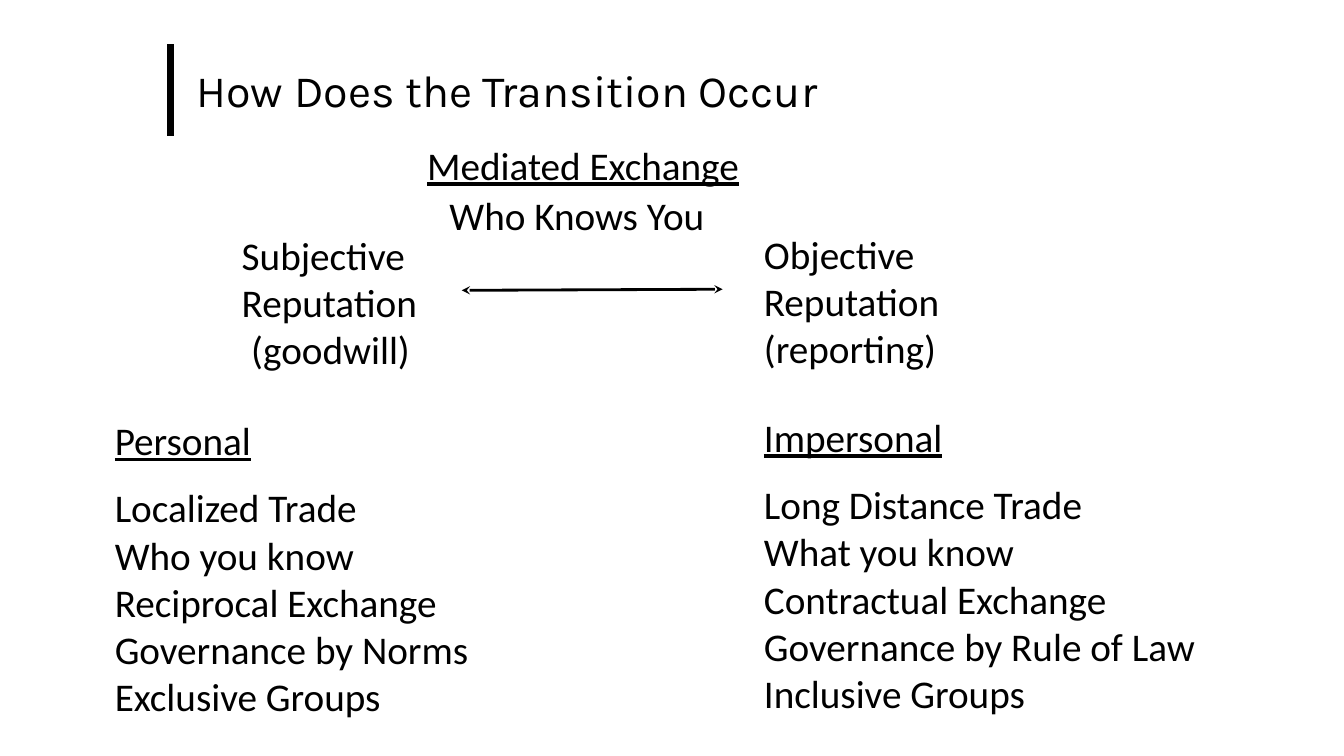
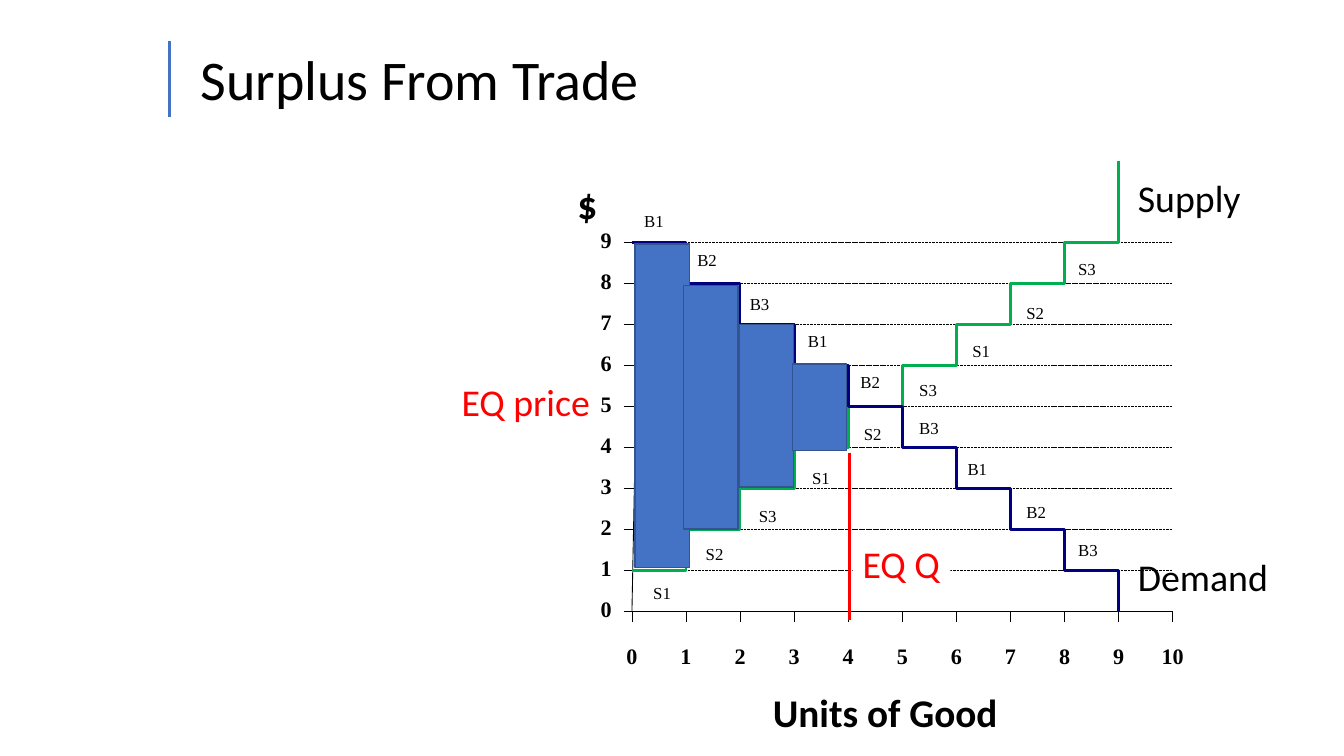
import dataclasses

import lxml.etree
import pptx
import pptx.dml.color
import pptx.enum.dml
import pptx.enum.shapes
import pptx.enum.text
import pptx.oxml.ns
import pptx.util

Pt = pptx.util.Pt
qn = pptx.oxml.ns.qn
rgb = pptx.dml.color.RGBColor.from_string
LEFT = pptx.enum.text.PP_ALIGN.LEFT
CENTER = pptx.enum.text.PP_ALIGN.CENTER


@dataclasses.dataclass(frozen=True)
class Theme:
    black: str = "000000"
    white: str = "FFFFFF"
    blue: str = "4472C4"
    blue_edge: str = "325491"
    supply: str = "00B050"
    demand: str = "000080"
    equilibrium: str = "FF0000"
    body_font: str = "Calibri"
    title_font: str = "Karla"
    chart_font: str = "Times New Roman"
    body_size: float = 28
    label_size: float = 27
    axis_size: float = 15.8
    step_size: float = 12
    hairline: float = 0.63
    curve: float = 2


theme = Theme()


def add_text(page, bounds, lines, align=LEFT, margin=None, fill=None, box=None,
             color=theme.black, **font_values):
    """Put lines into a text box, or into a given placeholder."""
    if box is None:
        box = page.shapes.add_textbox(*map(Pt, bounds))
    box.left, box.top, box.width, box.height = map(Pt, bounds)
    if fill:
        box.fill.solid()
        box.fill.fore_color.rgb = rgb(fill)
    frame = box.text_frame
    frame.word_wrap = True
    frame.auto_size = pptx.enum.text.MSO_AUTO_SIZE.NONE
    frame.vertical_anchor = pptx.enum.text.MSO_ANCHOR.TOP
    if margin is not None:
        for side in ("left", "top", "right", "bottom"):
            setattr(frame, f"margin_{side}", Pt(margin))
    values = {"name": theme.body_font, "size": theme.body_size, **font_values}
    values["size"] = Pt(values["size"])
    for index, line in enumerate(lines):
        para = frame.add_paragraph() if index else frame.paragraphs[0]
        para.alignment = align
        span = para.add_run()
        span.text = line
        for name, value in values.items():
            setattr(span.font, name, value)
        span.font.color.rgb = rgb(color)
    return frame.paragraphs


def add_line(page, start, end, width, color=theme.black, dash=None, heads=False):
    """Draw a straight line, with optional dashes or arrowheads at both ends."""
    connector = page.shapes.add_connector(
        pptx.enum.shapes.MSO_CONNECTOR.STRAIGHT, *map(Pt, start + end))
    connector.line.width = Pt(width)
    connector.line.color.rgb = rgb(color)
    if dash:
        connector.line.dash_style = dash
    properties = connector.element.spPr
    if heads:
        outline = properties.find(qn("a:ln"))
        for tag in ("a:headEnd", "a:tailEnd"):
            lxml.etree.SubElement(outline, qn(tag), type="stealth")
    lxml.etree.SubElement(properties, qn("a:effectLst"))


deck = pptx.Presentation()
deck.slide_width, deck.slide_height = Pt(960), Pt(540)

# Titles, each with a vertical rule on its left
titles = [
    ("How Does the Transition Occur", (133.2, 41, 508, 46), theme.title_font, 32,
     (121.7, 31.7, 97.2), 4.5, theme.black),
    ("Surplus From Trade", (136, 28, 345, 56), theme.body_font, 40,
     (121, 29.5, 83.5), 2.25, theme.blue),
]
pages = []
for text, bounds, font, size, (rule_x, rule_top, rule_end), weight, color in titles:
    page = deck.slides.add_slide(deck.slide_layouts[5])
    add_text(page, bounds, [text], box=page.shapes.title, name=font, size=size)
    add_line(page, (rule_x, rule_top), (rule_x, rule_end), weight, color)
    pages.append(page)
transition, surplus = pages

# Mediated exchange: two kinds of reputation joined by an arrow
add_line(transition, (329.8, 207.4), (516.2, 206.6), 2, heads=True)
reputation = add_text(transition, (165.6, 161.5, 141, 109),
                      ["Subjective", "Reputation", "(goodwill)"])
reputation[2].alignment = CENTER
add_text(transition, (538.6, 161, 150, 109), ["Objective", "Reputation", "(reporting)"])
add_text(transition, (314, 133, 210, 41), ["Who Knows You"])
add_text(transition, (298, 97.2, 250, 41), ["Mediated Exchange"], underline=True)

# Personal and impersonal exchange
columns = [
    (74.9, 293.8, ["Personal", "Localized Trade", "Who you know", "Reciprocal Exchange",
                   "Governance by Norms", "Exclusive Groups"]),
    (538.6, 291.6, ["Impersonal", "Long Distance Trade", "What you know",
                    "Contractual Exchange", "Governance by Rule of Law",
                    "Inclusive Groups"]),
]
for left, top, lines in columns:
    heading, first_item, *_ = add_text(transition, (left, top, 378, 225), lines)
    heading.runs[0].font.underline = True
    first_item.space_before = Pt(14.6)

# Chart grid: ten units across, nine dollars up
origin_x, origin_y = 451.4, 437
unit_width, dollar_height = 38.63, 29.28
unit_x = [origin_x + unit_width * unit for unit in range(11)]
dollar_y = [origin_y - dollar_height * dollar for dollar in range(12)]

add_text(surplus, (322.6, 267.1, 106.6, 40), ["EQ price"], fill=theme.white,
         color=theme.equilibrium, size=theme.label_size)

# Buyer and seller names on the steps
step_names = {
    "B": [(453, 147), (491, 175), (528.5, 206), (570, 233), (607.5, 262),
          (649.5, 295), (684, 324), (726, 355), (763, 382)],
    "S": [(459.5, 413), (497, 385), (535, 358), (573, 330.5), (610, 299),
          (649.5, 268), (687.5, 240), (726, 212.5), (763, 181.5)],
}
for letter, places in step_names.items():
    for index, place in enumerate(places):
        add_text(surplus, place + (40, 30), [f"{letter}{index % 3 + 1}"],
                 name=theme.chart_font, size=theme.step_size)

# Axes, gridlines, ticks and numbers
axis_font = {"name": theme.chart_font, "size": theme.axis_size, "bold": True}
add_line(surplus, (456.5, dollar_y[9]), (origin_x, origin_y), theme.hairline)
add_line(surplus, (origin_x, origin_y), (unit_x[10], origin_y), theme.hairline)
for dollar, y in enumerate(dollar_y[:10]):
    if dollar:
        add_line(surplus, (origin_x, y), (unit_x[10], y), theme.hairline,
                 dash=pptx.enum.dml.MSO_LINE.SQUARE_DOT)
    add_line(surplus, (origin_x - 6, y), (origin_x, y), theme.hairline)
    add_text(surplus, (423, y - 11.5, 20, 26), [str(dollar)], CENTER, 0, **axis_font)
for unit, x in enumerate(unit_x):
    add_line(surplus, (x, origin_y + 7), (x, origin_y), theme.hairline)
    add_text(surplus, (x - 15, 458.6, 30, 26), [str(unit)], CENTER, 0, **axis_font)

# Supply and demand steps: price of each unit, then the last vertical
curves = [
    (theme.supply, [unit + 1 for unit in range(9)] + [11]),
    (theme.demand, [9 - unit for unit in range(9)] + [0]),
]
for color, prices in curves:
    corners = [(Pt(unit_x[unit + side]), Pt(dollar_y[prices[unit]]))
               for unit in range(9) for side in (0, 1)]
    corners.append((Pt(unit_x[9]), Pt(dollar_y[prices[9]])))
    builder = surplus.shapes.build_freeform(*corners[0])
    builder.add_line_segments(corners[1:], close=False)
    curve = builder.convert_to_shape()
    curve.shadow.inherit = False
    curve.fill.background()
    curve.line.color.rgb = rgb(color)
    curve.line.width = Pt(theme.curve)

# Curve names and axis titles
add_text(surplus, (805.7, 121, 100, 40), ["Supply"], size=theme.label_size)
add_text(surplus, (805.7, 391.7, 120, 40), ["Demand"], size=theme.label_size)
add_text(surplus, (405.4, 125.3, 40, 41), ["$"], bold=True)
add_text(surplus, (545, 488.2, 200, 41), ["Units of Good"], bold=True)

# Equilibrium quantity
add_line(surplus, (607, 323.3), (607, 442.8), 2.25, theme.equilibrium)
add_text(surplus, (609.1, 383, 69.8, 40), ["EQ Q"], fill=theme.white,
         color=theme.equilibrium, size=theme.label_size)

# Surplus bars
for left, top, height in [(453.6, 174.2, 231), (488.2, 203.8, 174.2),
                          (527.8, 231.8, 116), (566, 260, 62)]:
    bar = surplus.shapes.add_shape(pptx.enum.shapes.MSO_SHAPE.RECTANGLE,
                                   *map(Pt, (left, top, 38.9, height)))
    bar.shadow.inherit = False
    bar.fill.solid()
    bar.fill.fore_color.rgb = rgb(theme.blue)
    bar.line.color.rgb = rgb(theme.blue_edge)
    bar.line.width = Pt(1)

deck.save("out.pptx")
